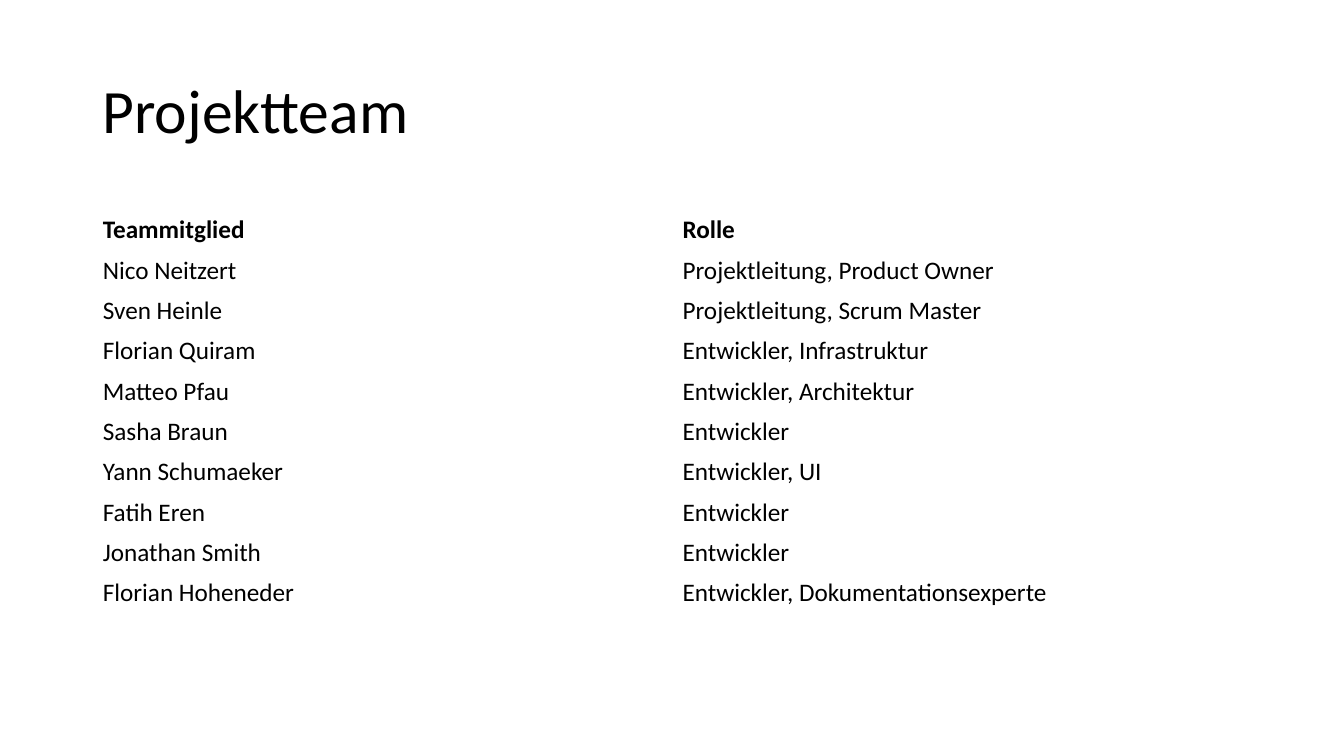
from dataclasses import dataclass

from pptx import Presentation
from pptx.dml.color import RGBColor
from pptx.enum.text import MSO_ANCHOR
from pptx.util import Inches, Pt


@dataclass(frozen=True)
class Theme:
    font: str = "Calibri"
    ink: RGBColor = RGBColor(0, 0, 0)
    title: int = 44
    body: int = 18


THEME = Theme()
WIDE, HIGH = Inches(13.33), Inches(7.5)
LEFT, SPAN = Inches(0.92), Inches(11.5)
ROW = Inches(0.4)

TEAM = [
    ("Teammitglied", "Rolle"),
    ("Nico Neitzert", "Projektleitung, Product Owner"),
    ("Sven Heinle", "Projektleitung, Scrum Master"),
    ("Florian Quiram", "Entwickler, Infrastruktur"),
    ("Matteo Pfau", "Entwickler, Architektur"),
    ("Sasha Braun", "Entwickler"),
    ("Yann Schumaeker", "Entwickler, UI"),
    ("Fatih Eren", "Entwickler"),
    ("Jonathan Smith", "Entwickler"),
    ("Florian Hoheneder", "Entwickler, Dokumentationsexperte"),
]


def write(frame, text, size, bold=False):
    """Put one styled run into the first paragraph."""
    line = frame.paragraphs[0]
    run = line.add_run()
    run.text = text
    run.font.name = THEME.font
    run.font.size = Pt(size)
    run.font.bold = bold
    run.font.color.rgb = THEME.ink
    return line


def add_title(slide, text, top, height):
    frame = slide.shapes.add_textbox(LEFT, top, SPAN, height).text_frame
    frame.word_wrap = True
    frame.vertical_anchor = MSO_ANCHOR.MIDDLE
    write(frame, text, THEME.title).line_spacing = 0.9


def add_grid(slide, data, top):
    """Plain table without fills; the first row is the bold header."""
    table = slide.shapes.add_table(
        len(data), len(data[0]), LEFT, top, SPAN, ROW * len(data)
    ).table
    table.horz_banding = False
    table.first_row = False
    for r, row in enumerate(data):
        for c, text in enumerate(row):
            cell = table.cell(r, c)
            cell.fill.background()
            cell.vertical_anchor = MSO_ANCHOR.MIDDLE
            write(cell.text_frame, text, THEME.body, bold=r == 0)


def main():
    deck = Presentation()
    deck.slide_width, deck.slide_height = WIDE, HIGH
    slide = deck.slides.add_slide(deck.slide_layouts[6])

    # Heading
    add_title(slide, "Projektteam", Inches(0.4), Inches(1.45))
    # Members and their roles
    add_grid(slide, TEAM, Inches(2.08))

    deck.save("out.pptx")


if __name__ == "__main__":
    main()
